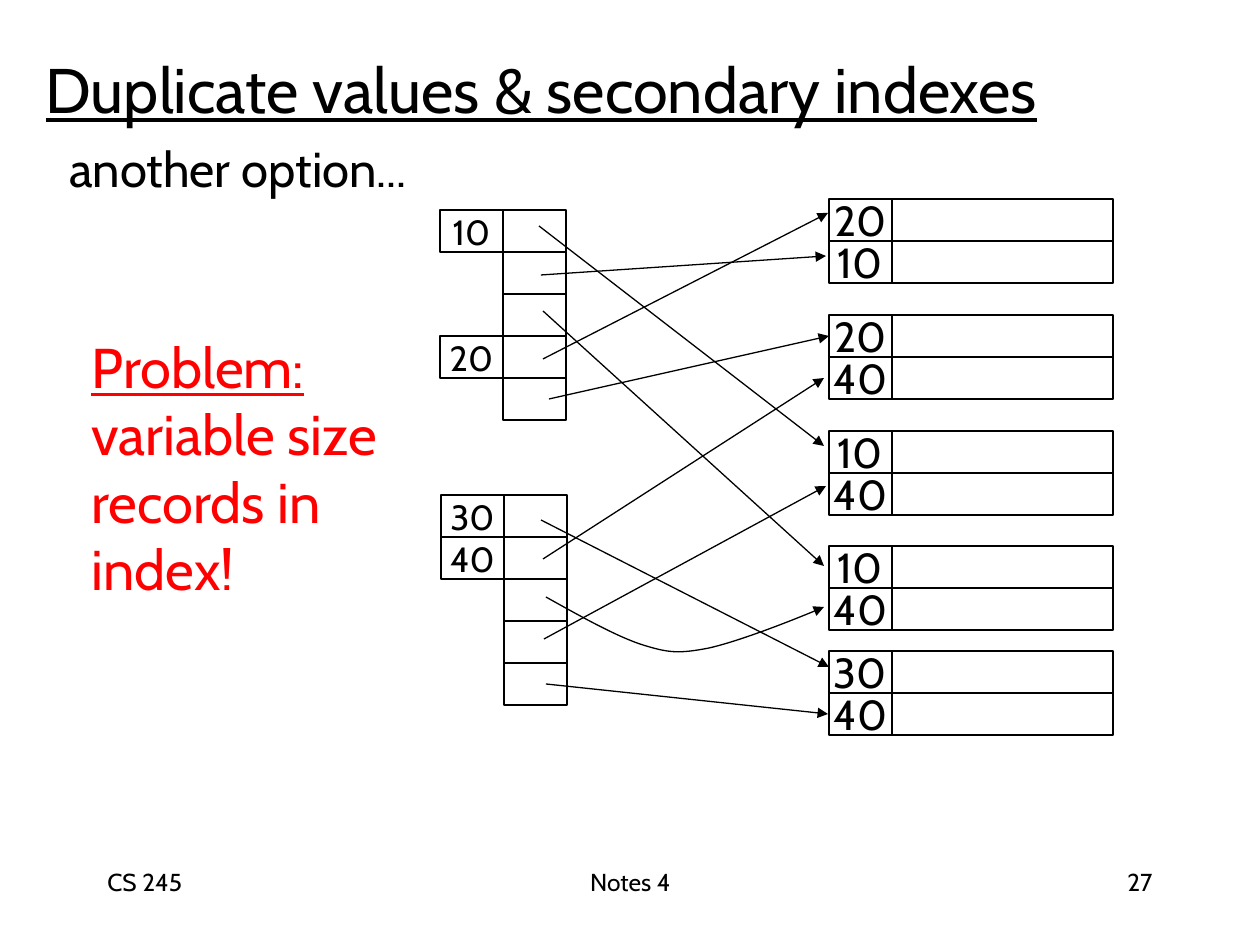
from dataclasses import dataclass
from typing import Any

from lxml.etree import SubElement
from pptx import Presentation
from pptx.dml.color import RGBColor
from pptx.enum.shapes import MSO_CONNECTOR, MSO_SHAPE
from pptx.enum.text import MSO_ANCHOR, MSO_AUTO_SIZE, PP_ALIGN
from pptx.oxml.ns import qn
from pptx.util import Pt

SCALE = 914400 / 126
ROW = 42
KEY_WIDTH = 63
DATA_WIDTH = 221


def px(*lengths):
    """Turn pixel lengths into a list of EMU."""
    return [round(length * SCALE) for length in lengths]


def color(value):
    """Turn a hex string into a colour."""
    return RGBColor.from_string(value)


def write(frame, text, font="Cabin", size=14, ink="000000", align=PP_ALIGN.LEFT,
          anchor=MSO_ANCHOR.MIDDLE, wrap=True, underlined=()):
    """Fill a text frame with one paragraph per line of text."""
    frame.auto_size = MSO_AUTO_SIZE.NONE
    frame.word_wrap = wrap
    frame.vertical_anchor = anchor
    for index, line in enumerate(text.split("\n")):
        para = frame.add_paragraph() if index else frame.paragraphs[0]
        para.alignment = align
        span = para.add_run()
        span.text = line
        span.font.name = font
        span.font.size = Pt(size)
        span.font.color.rgb = color(ink)
        span.font.underline = index in underlined


@dataclass
class Sketch:
    """Holds the style and the current slide."""
    page: Any
    ink: str = "000000"
    paper: str = "FFFFFF"
    line_width: float = 0.75

    def title(self, text, *place, **format):
        """Move the title placeholder and write in it."""
        box = self.page.shapes.title
        box.left, box.top, box.width, box.height = px(*place)
        write(box.text_frame, text, **format)

    def text(self, text, *place, **format):
        """Add a text box."""
        box = self.page.shapes.add_textbox(*px(*place))
        write(box.text_frame, text, **format)

    def cell(self, left, top, width, text="", size=20):
        """Add a bordered rectangle, with a centred key if one is given."""
        box = self.page.shapes.add_shape(
            MSO_SHAPE.RECTANGLE, *px(left, top, width, ROW))
        box.shadow.inherit = False
        box.fill.solid()
        box.fill.fore_color.rgb = color(self.paper)
        self.outline(box)
        if text:
            write(box.text_frame, text, size=size, ink=self.ink,
                  align=PP_ALIGN.CENTER, wrap=False)
        return box

    def outline(self, shape):
        """Give a shape the common line style."""
        shape.line.color.rgb = color(self.ink)
        shape.line.width = Pt(self.line_width)

    def arrowhead(self, shape):
        """Put a triangle at the end of a line."""
        SubElement(shape.line._get_or_add_ln(), qn("a:tailEnd"), type="triangle")

    def arrow(self, start, end, target=None):
        """Add a straight arrow, joined to the left of a target if given."""
        line = self.page.shapes.add_connector(
            MSO_CONNECTOR.STRAIGHT, *px(*start, *end))
        if target is not None:
            line.end_connect(target, 1)
        self.outline(line)
        self.arrowhead(line)
        SubElement(line._element.spPr, qn("a:effectLst"))

    def curve(self, start, *controls):
        """Add a curved arrow through triples of Bezier points."""
        builder = self.page.shapes.build_freeform(*start, scale=SCALE)
        builder.add_line_segments(controls, close=False)
        shape = builder.convert_to_shape()
        shape.shadow.inherit = False
        shape.fill.background()
        self.outline(shape)
        self.arrowhead(shape)
        track = next(shape._element.iter(qn("a:path")))
        segments = track.findall(qn("a:lnTo"))
        for index in range(0, len(segments), 3):
            bend = SubElement(track, qn("a:cubicBezTo"))
            for segment in segments[index:index + 3]:
                bend.append(segment[0])
                track.remove(segment)


def main():
    """Build the slide and save it."""
    deck = Presentation()
    deck.slide_width, deck.slide_height = px(1260, 945)
    sketch = Sketch(deck.slides.add_slide(deck.slide_layouts[5]))

    sketch.title("Duplicate values & secondary indexes", 33, 26, 1092, 125,
                 size=36, underlined=(0,))
    sketch.text("another option...", 33, 132, 410, 72, size=28,
                align=PP_ALIGN.CENTER)

    record_blocks = [(199, ("20", "10")), (315, ("20", "40")),
                     (431, ("10", "40")), (546, ("10", "40")),
                     (651, ("30", "40"))]
    records = []
    for top, keys in record_blocks:
        for row, key in enumerate(keys):
            y = top + row * ROW
            records.append(sketch.cell(829, y, KEY_WIDTH, key, size=24))
            sketch.cell(829 + KEY_WIDTH, y, DATA_WIDTH)

    index_blocks = [(440, 210, ("10", "", "", "20", "")),
                    (441, 495, ("30", "40", "", "", ""))]
    for left, top, keys in index_blocks:
        for row, key in enumerate(keys):
            y = top + row * ROW
            if key:
                sketch.cell(left, y, KEY_WIDTH, key)
            sketch.cell(left + KEY_WIDTH, y, KEY_WIDTH)

    pointers = [((539, 226), (824, 446)), ((541, 275), (826, 256)),
                ((543, 311), (824, 566)), ((543, 359), (828, 213)),
                ((541, 520), (829, 667)), ((543, 559), (824, 378)),
                ((546, 684), (828, 714)), ((544, 639), (826, 486))]
    for start, end in pointers:
        sketch.arrow(start, end)
    sketch.arrow((549, 399), (829, 336), target=records[2])
    sketch.curve((546, 597), (580, 616), (614, 635), (640, 644),
                 (668, 653), (678, 654), (709, 648),
                 (740, 641), (806, 615), (824, 607))

    sketch.text("Problem:\nvariable size\nrecords in\nindex!", 79, 326, 348, 282,
                size=32, ink="FF0000", underlined=(0,))

    footers = [("CS 245", 95, 262, PP_ALIGN.LEFT),
               ("Notes 4", 431, 399, PP_ALIGN.CENTER),
               ("27", 903, 262, PP_ALIGN.RIGHT)]
    for text, left, width, align in footers:
        sketch.text(text, left, 861, width, 63, align=align,
                    anchor=MSO_ANCHOR.TOP)

    deck.save("out.pptx")


if __name__ == "__main__":
    main()
